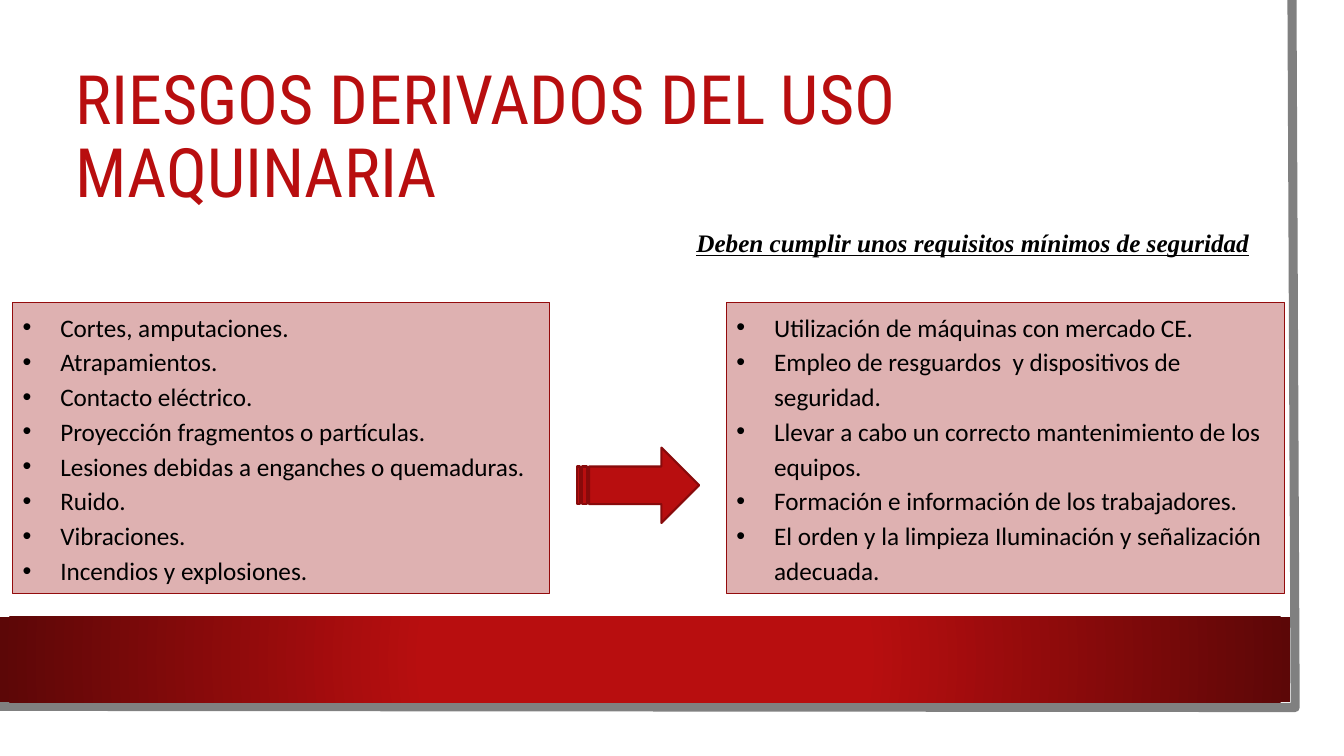
from lxml import etree
from pptx import Presentation
from pptx.dml.color import RGBColor
from pptx.enum.shapes import MSO_SHAPE
from pptx.enum.text import MSO_ANCHOR, PP_ALIGN
from pptx.oxml.ns import qn
from pptx.util import Cm, Pt

RED, DARK_RED, EDGE_RED, PINK = "B80E0F", "5C0707", "930B0C", "DEB1B1"
RISKS = [
    "Cortes, amputaciones.",
    "Atrapamientos.",
    "Contacto eléctrico.",
    "Proyección fragmentos o partículas.",
    "Lesiones debidas a enganches o quemaduras.",
    "Ruido.",
    "Vibraciones.",
    "Incendios y explosiones.",
]
MEASURES = [
    "Utilización de máquinas con mercado CE.",
    "Empleo de resguardos  y dispositivos de seguridad.",
    "Llevar a cabo un correcto mantenimiento de los equipos.",
    "Formación e información de los trabajadores.",
    "El orden y la limpieza Iluminación y señalización adecuada.",
]


def paint(color_format, hex_color):
    """Set a colour from a hex string."""
    color_format.rgb = RGBColor.from_string(hex_color)


def add_block(slide, kind, box, fill, line=None, line_width=0.75):
    """Add a flat preset shape; box holds left, top, width, height in cm."""
    shape = slide.shapes.add_shape(kind, *map(Cm, box))
    shape.shadow.inherit = False
    shape.fill.solid()
    paint(shape.fill.fore_color, fill)
    if line:
        paint(shape.line.color, line)
        shape.line.width = Pt(line_width)
    else:
        shape.line.fill.background()
    return shape


def write(paragraph, text, font, size, color="000000"):
    """Write one styled run and return its font."""
    run = paragraph.add_run()
    run.text = text
    run.font.name, run.font.size = font, Pt(size)
    paint(run.font.color, color)
    return run.font


def add_text(slide, box, text, font, size, color="000000", wrap=True):
    """Add a single-paragraph text box and return its frame and font."""
    frame = slide.shapes.add_textbox(*map(Cm, box)).text_frame
    frame.word_wrap = wrap
    return frame, write(frame.paragraphs[0], text, font, size, color)


def add_bullet(paragraph, indent):
    """Give a paragraph a hanging round bullet."""
    properties = paragraph._p.get_or_add_pPr()
    properties.set("marL", str(Cm(indent)))
    properties.set("indent", str(-Cm(indent)))
    etree.SubElement(properties, qn("a:buFont"), typeface="Arial")
    etree.SubElement(properties, qn("a:buChar"), char="•")


def add_list_panel(slide, box, items):
    """Add a pink panel holding a bulleted list."""
    frame = add_block(slide, MSO_SHAPE.RECTANGLE, box, PINK, EDGE_RED).text_frame
    frame.word_wrap = True
    frame.vertical_anchor = MSO_ANCHOR.TOP
    for index, item in enumerate(items):
        paragraph = frame.add_paragraph() if index else frame.paragraphs[0]
        paragraph.alignment = PP_ALIGN.LEFT
        paragraph.line_spacing = 1.15
        add_bullet(paragraph, 0.95)
        write(paragraph, item, "Calibri", 18)


def add_frame_line(slide, points, color, width):
    """Draw an open outline through points given in cm."""
    corners = [(Cm(x), Cm(y)) for x, y in points]
    builder = slide.shapes.build_freeform(*corners[0])
    builder.add_line_segments(corners[1:], close=False)
    outline = builder.convert_to_shape()
    outline.shadow.inherit = False
    outline.fill.background()
    paint(outline.line.color, color)
    outline.line.width = Pt(width)


def add_glow_band(slide, box, stops):
    """Add a band with a circular gradient spreading from its centre."""
    band = add_block(slide, MSO_SHAPE.RECTANGLE, box, RED)
    band.fill.gradient()
    gradient = band._element.spPr.find(qn("a:gradFill"))
    for child in list(gradient):
        gradient.remove(child)
    stop_list = etree.SubElement(gradient, qn("a:gsLst"))
    for percent, color in stops:
        stop = etree.SubElement(stop_list, qn("a:gs"), pos=str(percent * 1000))
        etree.SubElement(stop, qn("a:srgbClr"), val=color)
    path = etree.SubElement(gradient, qn("a:path"), path="circle")
    etree.SubElement(path, qn("a:fillToRect"), dict.fromkeys("ltrb", "50000"))


def main():
    """Build the slide on machinery risks and save it."""
    deck = Presentation()
    deck.slide_width, deck.slide_height = Cm(33.87), Cm(19.05)
    slide = deck.slides.add_slide(deck.slide_layouts[6])

    add_block(slide, MSO_SHAPE.RECTANGLE, (0, 0, 33.27, 18.47), "FFFFFF")
    add_frame_line(slide, [(32.56, 0), (32.64, 17.83), (-0.08, 17.8)], "808080", 6.5)
    add_glow_band(slide, (0, 15.54, 32.51, 2.16), [(34, RED), (100, DARK_RED)])

    title, _ = add_text(slide, (1.65, 1.9, 28.88, 3.2),
                        "RIESGOS DERIVADOS DEL USO MAQUINARIA",
                        "Roboto Condensed", 48.6, RED)
    title.vertical_anchor = MSO_ANCHOR.MIDDLE
    title.paragraphs[0].line_spacing = 0.9

    panel_top, panel_height = 7.62, 7.34
    add_list_panel(slide, (0.32, panel_top, 13.54, panel_height), RISKS)
    add_list_panel(slide, (18.31, panel_top, 14.07, panel_height), MEASURES)

    _, font = add_text(slide, (17.3, 5.61, 14.55, 1.02),
                       "Deben cumplir unos requisitos mínimos de seguridad",
                       "Times New Roman", 18, wrap=False)
    font.bold = font.italic = font.underline = True

    add_block(slide, MSO_SHAPE.STRIPED_RIGHT_ARROW, (14.55, 11.28, 3.07, 1.9),
              RED, "880A0B", 1.5)
    deck.save("out.pptx")


main()
